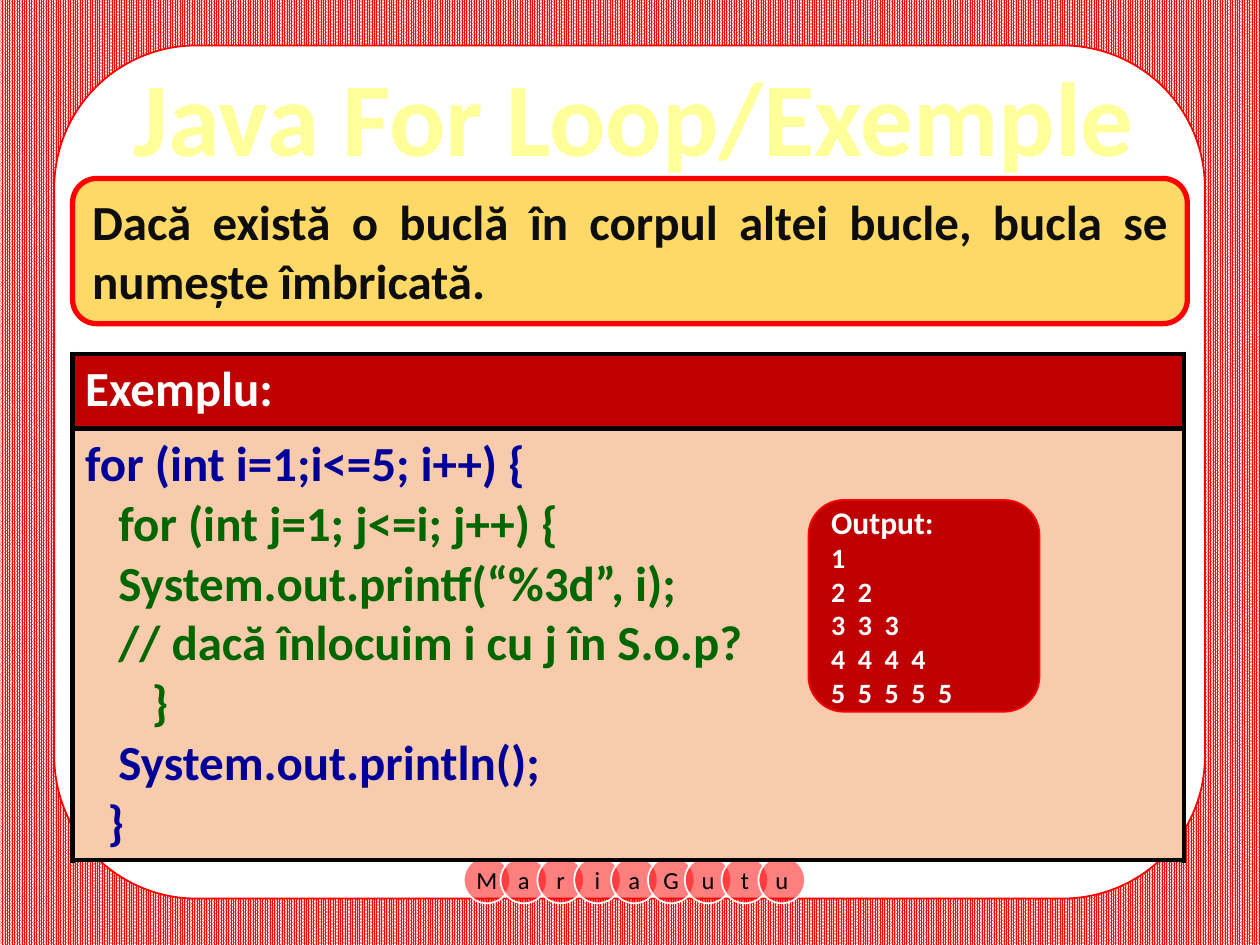
import pptx
import pptx.util
import pptx.dml.color
import pptx.enum.dml
import pptx.enum.shapes
import pptx.enum.text
import pptx.oxml
import pptx.oxml.ns

Pt = pptx.util.Pt
RGB = pptx.dml.color.RGBColor.from_string
Kind = pptx.enum.shapes.MSO_SHAPE
Align = pptx.enum.text.PP_ALIGN
Anchor = pptx.enum.text.MSO_ANCHOR
NS = pptx.oxml.ns.nsdecls("a")

HUES = {
    "red": "FF0000", "dark": "C00000", "white": "FFFFFF", "black": "000000",
    "cream": "FFFF99", "gold": "FFD966", "peach": "F8CBAD",
    "ink": "0D0D0D", "blue": "000099", "green": "006600",
}


def box(tree, kind, spot, fill, line, width):
    """Add a filled, outlined shape without shadow; spot is in points."""
    shape = tree.add_shape(kind, *map(Pt, spot))
    shape.shadow.inherit = False
    shape.fill.solid()
    shape.fill.fore_color.rgb = RGB(HUES[fill])
    shape.line.color.rgb = RGB(HUES[line])
    shape.line.width = Pt(width)
    return shape


def write(frame, rows, align=Align.LEFT, bold=True):
    """Fill a frame with rows of (text, size, colour, indent)."""
    for num, (text, size, hue, indent) in enumerate(rows):
        para = frame.paragraphs[0] if num == 0 else frame.add_paragraph()
        para.alignment = align
        if indent:
            para._p.get_or_add_pPr().set("marL", str(Pt(indent)))
        run = para.add_run()
        run.text = text
        look = {"name": "Calibri", "size": Pt(size), "bold": bold}
        for key, value in look.items():
            setattr(run.font, key, value)
        run.font.color.rgb = RGB(HUES[hue])


deck = pptx.Presentation()
deck.slide_width, deck.slide_height = Pt(720), Pt(540)
slide = deck.slides.add_slide(deck.slide_layouts[5])
shapes = slide.shapes

back = slide.background.fill
back.patterned()
back.pattern = pptx.enum.dml.MSO_PATTERN.PERCENT_90
back.fore_color.rgb = RGB(HUES["red"])
back.back_color.rgb = RGB(HUES["white"])

# Title on the white panel
title = shapes.title
panel = box(shapes, Kind.ROUNDED_RECTANGLE, (31, 26, 657.5, 487.5),
            "white", "red", 1)
title.element.addprevious(panel.element)
place = {"left": 39, "top": 26, "width": 646.5, "height": 152.5}
for key, value in place.items():
    setattr(title, key, Pt(value))
frame = title.text_frame
frame.auto_size = pptx.enum.text.MSO_AUTO_SIZE.NONE
frame.vertical_anchor = Anchor.TOP
write(frame, [("Java For Loop/Exemple", 60, "cream", 0)], Align.CENTER)
edge = (f'<a:ln {NS} w="{Pt(1.75)}"><a:solidFill>'
        f'<a:srgbClr val="{HUES["red"]}"/></a:solidFill></a:ln>')
frame.paragraphs[0].runs[0].font._element.insert(0, pptx.oxml.parse_xml(edge))

# Definition
note = box(shapes, Kind.ROUNDED_RECTANGLE, (41.5, 102, 637, 83),
           "gold", "red", 3)
note.text_frame.vertical_anchor = Anchor.TOP
write(note.text_frame,
      [("Dacă există o buclă în corpul altei bucle, bucla se numește "
        "îmbricată.", 28, "ink", 0)], Align.JUSTIFY)

# Chain of letters
chain = shapes.add_group_shape()
for num, char in enumerate("MariaGutu"):
    disc = box(chain.shapes, Kind.OVAL,
               (265 + 21.06 * num, 489.6, 26.6, 26.6), "red", "white", 1)
    tint = disc.fill._xPr.find(".//" + pptx.oxml.ns.qn("a:srgbClr"))
    tint.append(pptx.oxml.parse_xml(f'<a:alpha {NS} val="50000"/>'))
    frame = disc.text_frame
    frame.word_wrap = False
    for side in ("left", "right", "top", "bottom"):
        setattr(frame, "margin_" + side, Pt(1.4))
    frame.vertical_anchor = Anchor.MIDDLE
    write(frame, [(char, 14, "black", 0)], Align.CENTER, False)

# Code example
code = [
    ("for (int i=1;i<=5; i++) {", 28, "blue", 0),
    ("for (int j=1; j<=i; j++) {", 28, "green", 19),
    ("System.out.printf(“%3d”, i);", 28, "green", 19),
    ("// dacă înlocuim i cu j în S.o.p?", 28, "green", 19),
    ("}", 28, "green", 38),
    ("System.out.println();", 28, "blue", 19),
    ("}", 28, "blue", 12.7),
]
table = shapes.add_table(2, 1, Pt(41.5), Pt(202.3), Pt(635), Pt(283)).table
table.first_row = table.horz_banding = False
parts = [(42.5, "dark", [("Exemplu:", 28, "white", 0)]),
         (240.5, "peach", code)]
for num, (height, fill, rows) in enumerate(parts):
    table.rows[num].height = Pt(height)
    cell = table.cell(num, 0)
    write(cell.text_frame, rows)
    props = cell._tc.get_or_add_tcPr()
    for side in "LRTB":
        props.append(pptx.oxml.parse_xml(
            f'<a:ln{side} {NS} w="{Pt(3)}"><a:solidFill>'
            f'<a:srgbClr val="{HUES["black"]}"/></a:solidFill></a:ln{side}>'))
    cell.fill.solid()
    cell.fill.fore_color.rgb = RGB(HUES[fill])

# Printed result
result = box(shapes, Kind.ROUNDED_RECTANGLE, (462, 285.7, 132, 121),
             "dark", "red", 1)
result.text_frame.vertical_anchor = Anchor.MIDDLE
rows = [("  ".join(str(num) * num), 16, "white", 0) for num in range(1, 6)]
write(result.text_frame, [("Output:", 18, "white", 0)] + rows)

deck.save("out.pptx")
